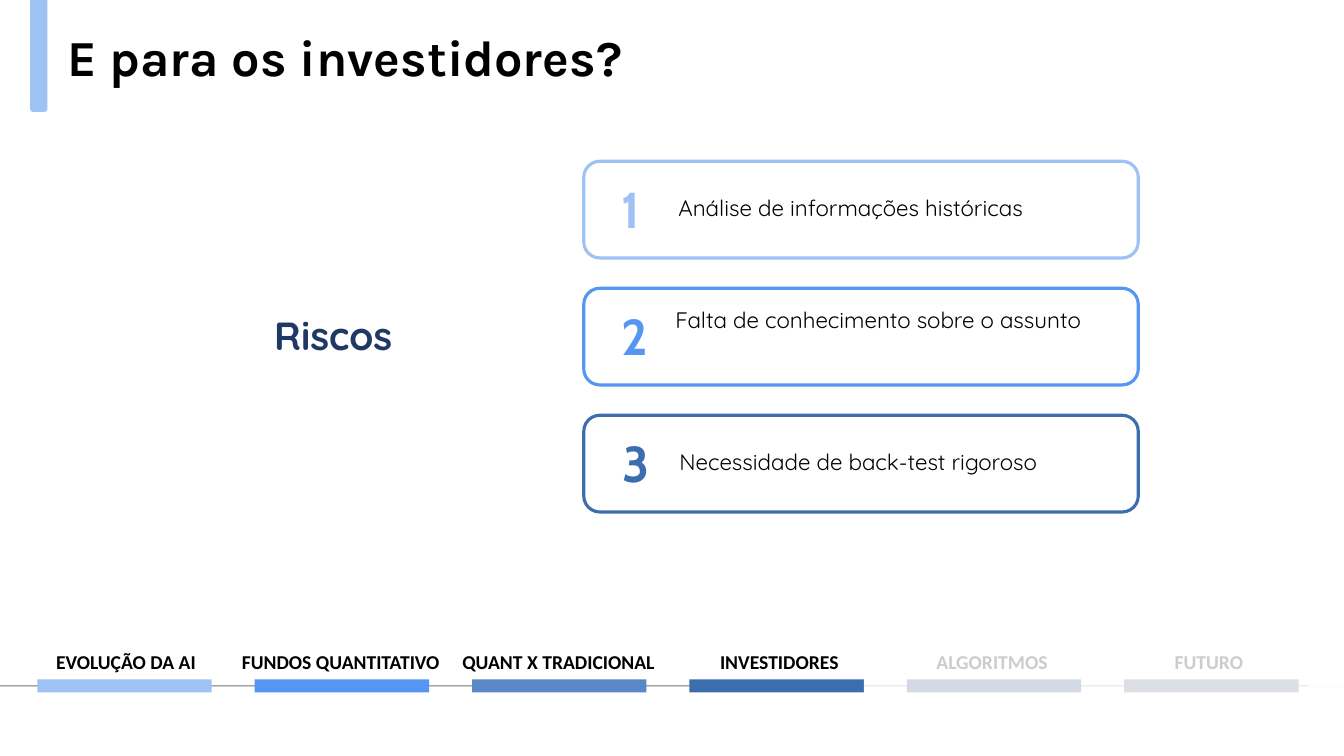
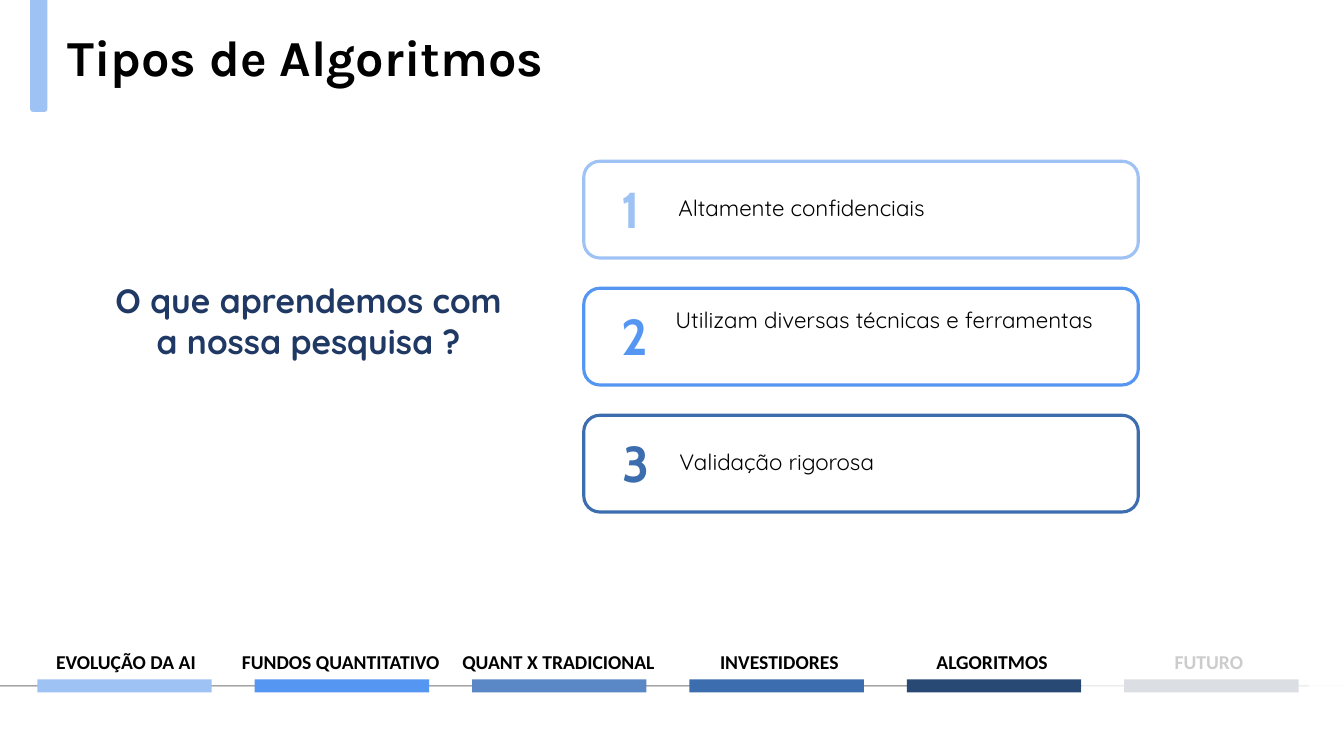
from lxml import etree
from pptx import Presentation
from pptx.dml.color import RGBColor
from pptx.enum.shapes import MSO_SHAPE
from pptx.enum.text import MSO_AUTO_SIZE, PP_ALIGN
from pptx.oxml.ns import qn
from pptx.util import Inches, Pt

# Content
COLORS = {
    "black": "000000", "white": "FFFFFF", "rule": "737373", "navy": "1F3864",
    "sky": "9FC2F4", "azure": "5596F2", "steel": "5A88C6",
    "blue": "3C6DAE", "deep": "294975", "slate": "4B5B73",
}
# Section name, label left edge, bar colour
SECTIONS = [
    ("EVOLUÇÃO DA AI", -0.34, "sky"),
    ("FUNDOS QUANTITATIVO", 1.79, "azure"),
    ("QUANT X TRADICIONAL", 3.95, "steel"),
    ("INVESTIDORES", 6.14, "blue"),
    ("ALGORITMOS", 8.25, "deep"),
    ("FUTURO", 10.4, "slate"),
]
# Card colour, number left edge, position and height of the text box
CARDS = [
    ("sky", 6.07, (6.63, 1.88, 0.37)),
    ("azure", 6.07, (6.6, 2.99, 0.64)),
    ("blue", 6.08, (6.64, 4.4, 0.37)),
]
SLIDES = [
    {
        "title": "E para os investidores?",
        "section": 3,
        "topic": ("Riscos", 28, (2.2, 3.04, 2.21, 0.57)),
        "items": [
            "Análise de informações históricas",
            "Falta de conhecimento sobre o assunto",
            "Necessidade de back-test rigoroso",
        ],
    },
    {
        "title": "Tipos de Algoritmos",
        "section": 4,
        "topic": ("O que aprendemos com a nossa pesquisa ?", 24,
                  (0.99, 2.73, 4.14, 0.91)),
        "items": [
            "Altamente confidenciais",
            "Utilizam diversas técnicas e ferramentas",
            "Validação rigorosa",
        ],
    },
]

# Layout
SLIDE_W, SLIDE_H = 13.33, 7.5
BAR_LEFT, BAR_STEP, BAR_W = 0.37, 2.156, 1.73
CARD_TOP, CARD_STEP = 1.6, 1.26


def rgb(name):
    return RGBColor.from_string(COLORS[name])


def add_box(slide, kind, box, fill=None, line=None, opacity=None):
    sp = slide.shapes.add_shape(kind, *map(Inches, box))
    sp.shadow.inherit = False
    if fill:
        sp.fill.solid()
        sp.fill.fore_color.rgb = rgb(fill)
    else:
        sp.fill.background()
    if line:
        sp.line.color.rgb = rgb(line)
        sp.line.width = Pt(2.25)
    else:
        sp.line.fill.background()
    if opacity:
        color = sp.fill._xPr.find(qn("a:solidFill"))[0]
        etree.SubElement(color, qn("a:alpha"), val=str(opacity * 1000))
    return sp


def add_text(slide, text, box, size, font, color="black", bold=True,
             align=PP_ALIGN.CENTER):
    tf = slide.shapes.add_textbox(*map(Inches, box)).text_frame
    tf.word_wrap = True
    tf.auto_size = MSO_AUTO_SIZE.SHAPE_TO_FIT_TEXT
    p = tf.paragraphs[0]
    p.alignment = align
    r = p.add_run()
    r.text = text
    r.font.size = Pt(size)
    r.font.name = font
    r.font.bold = bold
    r.font.color.rgb = rgb(color)


def add_title(slide, title):
    accent = add_box(slide, MSO_SHAPE.ROUND_2_SAME_RECTANGLE,
                     (0.3, 0, 0.17, 1.11), "sky")
    accent.adjustments[0] = 0
    accent.adjustments[1] = 0.17
    add_text(slide, title, (0.57, 0.21, 11.88, 0.71), 36, "Karla",
             align=PP_ALIGN.LEFT)


def add_timeline(slide, current):
    rect = MSO_SHAPE.RECTANGLE
    add_box(slide, rect, (0, 6.8, SLIDE_W, 0.01), "rule")
    for i, (name, label_left, color) in enumerate(SECTIONS):
        add_box(slide, rect, (BAR_LEFT + i * BAR_STEP, 6.74, BAR_W, 0.13), color)
        add_text(slide, name, (label_left, 6.4, 3.18, 0.34), 14, "Calibri")
    # Veils over the right edge and the sections still to come
    add_box(slide, rect, (12.98, 6.08, 0.35, 0.96), "white", opacity=88)
    left = BAR_LEFT + current * BAR_STEP + BAR_W
    add_box(slide, rect, (left, 6.28, SLIDE_W - left, 0.97), "white", opacity=80)


def add_cards(slide, items):
    for i, (item, card) in enumerate(zip(items, CARDS)):
        color, number_left, (left, text_top, height) = card
        top = CARD_TOP + i * CARD_STEP
        add_box(slide, MSO_SHAPE.ROUNDED_RECTANGLE, (5.79, top, 5.5, 0.96),
                line=color)
        add_text(slide, str(i + 1), (number_left, top + 0.12, 0.38, 0.71),
                 36, "Cabin", color)
        add_text(slide, item, (left, text_top, 4.36, height), 16, "Quicksand",
                 bold=False, align=PP_ALIGN.JUSTIFY)


def main():
    prs = Presentation()
    prs.slide_width, prs.slide_height = Inches(SLIDE_W), Inches(SLIDE_H)
    for content in SLIDES:
        slide = prs.slides.add_slide(prs.slide_layouts[6])
        add_timeline(slide, content["section"])
        add_title(slide, content["title"])
        topic, size, box = content["topic"]
        add_text(slide, topic, box, size, "Quicksand", "navy")
        add_cards(slide, content["items"])
    prs.save("out.pptx")


if __name__ == "__main__":
    main()
